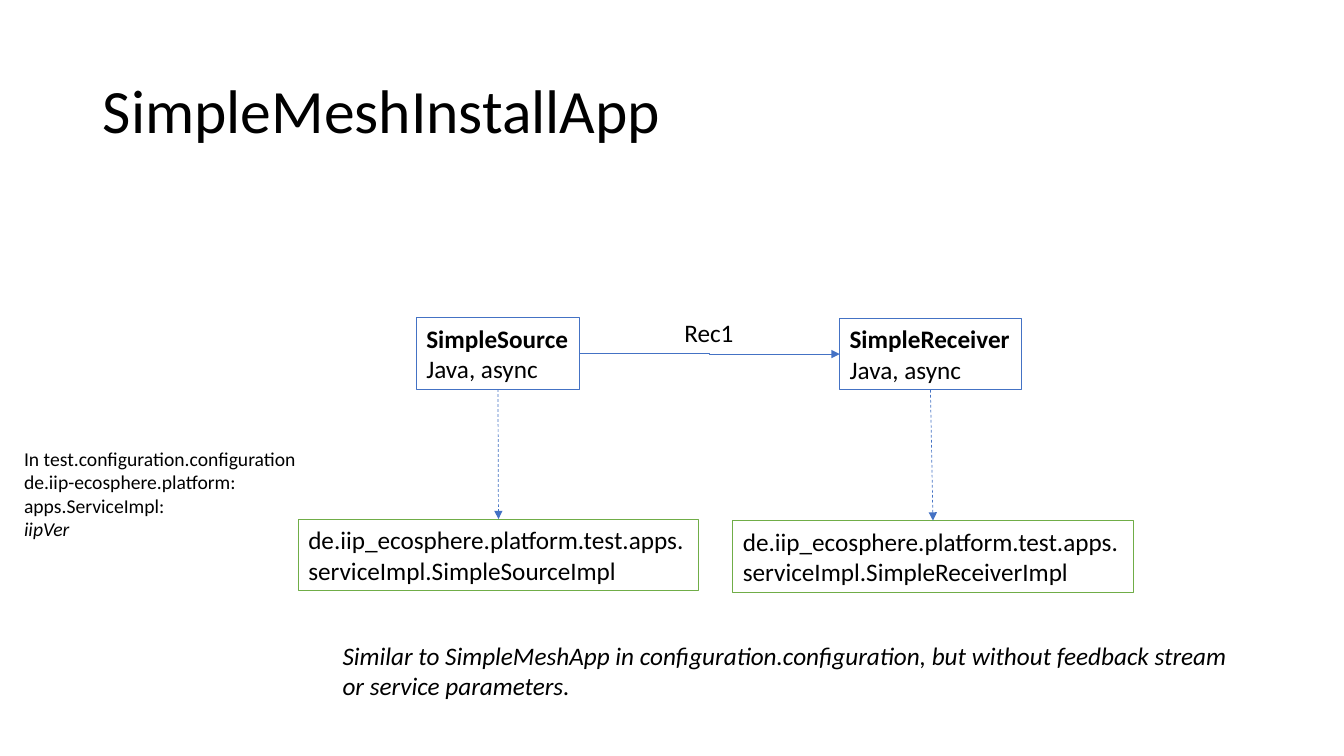
from dataclasses import dataclass

from lxml import etree
from pptx import Presentation
from pptx import util as u
from pptx.dml.color import RGBColor
from pptx.enum import dml, shapes, text
from pptx.oxml.ns import qn


@dataclass(frozen=True)
class Theme:
    font: str = "Calibri"
    ink: RGBColor = RGBColor(0x00, 0x00, 0x00)
    blue: RGBColor = RGBColor(0x44, 0x72, 0xC4)
    green: RGBColor = RGBColor(0x70, 0xAD, 0x47)
    head: int = 44
    body: int = 18
    small: int = 14
    edge: float = 0.75
    link: float = 0.5


THEME = Theme()
WIDE, HIGH = u.Inches(13.333), u.Inches(7.5)


def area(left, top, width, height):
    """Turn percentages of the slide into lengths."""
    return [int(share * side / 100) for share, side in
            ((left, WIDE), (top, HIGH), (width, WIDE), (height, HIGH))]


def write(frame, lines, size=THEME.body):
    """Fill a frame; each line is a pair of its text and style ("", "b", "i")."""
    for i, (words, style) in enumerate(lines):
        para = frame.paragraphs[0] if i == 0 else frame.add_paragraph()
        para.text = words
        para.alignment = text.PP_ALIGN.LEFT
        font = para.font
        font.name, font.size = THEME.font, u.Pt(size)
        font.color.rgb = THEME.ink
        font.bold, font.italic = style == "b", style == "i"


def fit(frame):
    frame.word_wrap = False
    frame.auto_size = text.MSO_AUTO_SIZE.SHAPE_TO_FIT_TEXT


def add_title(slide, words, place):
    title = slide.shapes.title
    title.left, title.top, title.width, title.height = area(*place)
    frame = title.text_frame
    frame.vertical_anchor = text.MSO_ANCHOR.MIDDLE
    write(frame, [(words, "")], THEME.head)
    frame.paragraphs[0].line_spacing = 0.9


def add_box(slide, place, lines, color):
    box = slide.shapes.add_shape(shapes.MSO_SHAPE.RECTANGLE, *area(*place))
    box.shadow.inherit = False
    box.fill.background()
    box.line.color.rgb = color
    box.line.width = u.Pt(THEME.edge)
    fit(box.text_frame)
    write(box.text_frame, lines)
    return box


def add_note(slide, place, lines, size=THEME.body):
    frame = slide.shapes.add_textbox(*area(*place)).text_frame
    fit(frame)
    write(frame, lines, size)


def add_arrow(slide, kind, start, end, dash=False):
    """Join two (box, site) pairs; sites run 0 top, 1 left, 2 bottom, 3 right."""
    arrow = slide.shapes.add_connector(kind, 0, 0, 0, 0)
    arrow.begin_connect(*start)
    arrow.end_connect(*end)
    arrow.line.color.rgb = THEME.blue
    arrow.line.width = u.Pt(THEME.link)
    if dash:
        arrow.line.dash_style = dml.MSO_LINE.DASH
    # Arrowhead and no shadow
    props = arrow.line._get_or_add_ln()
    etree.SubElement(props, qn("a:tailEnd"), type="triangle")
    etree.SubElement(props.getparent(), qn("a:effectLst"))


def main():
    deck = Presentation()
    deck.slide_width, deck.slide_height = WIDE, HIGH
    slide = deck.slides.add_slide(deck.slide_layouts[5])
    add_title(slide, "SimpleMeshInstallApp", (6.9, 5.33, 86.25, 19.33))

    # Services, each above its implementation
    tall = 9.47
    parts = [
        ("Source", (30.98, 42, 12.15, tall), (22.2, 68.67, 29.78, tall)),
        ("Receiver", (62.48, 42.1, 13.5, tall), (54.53, 68.87, 29.78, tall)),
    ]
    nodes = []
    link = shapes.MSO_CONNECTOR
    for name, upper, lower in parts:
        node = add_box(slide, upper, [("Simple" + name, "b"), ("Java, async", "")],
                       THEME.blue)
        impl = add_box(slide, lower, [(
            "de.iip_ecosphere.platform.test.apps.\n"
            f"serviceImpl.Simple{name}Impl", "")], THEME.green)
        add_arrow(slide, link.STRAIGHT, (node, 2), (impl, 0), dash=True)
        nodes.append(node)

    # Data flow
    source, sink = nodes
    add_arrow(slide, link.ELBOW, (source, 3), (sink, 1))
    add_note(slide, (50.18, 41.33, 5.25, 5.33), [("Rec1", "")])

    # Remarks
    add_note(slide, (1.05, 58.4, 21.98, 13.87), [
        ("In test.configuration.configuration", ""),
        ("de.iip-ecosphere.platform:", ""),
        ("apps.ServiceImpl:", ""),
        ("iipVer", "i"),
    ], THEME.small)
    add_note(slide, (24.75, 84, 68.48, tall), [(
        "Similar to SimpleMeshApp in configuration.configuration, "
        "but without feedback stream \nor service parameters.", "i")])

    deck.save("out.pptx")


if __name__ == "__main__":
    main()
